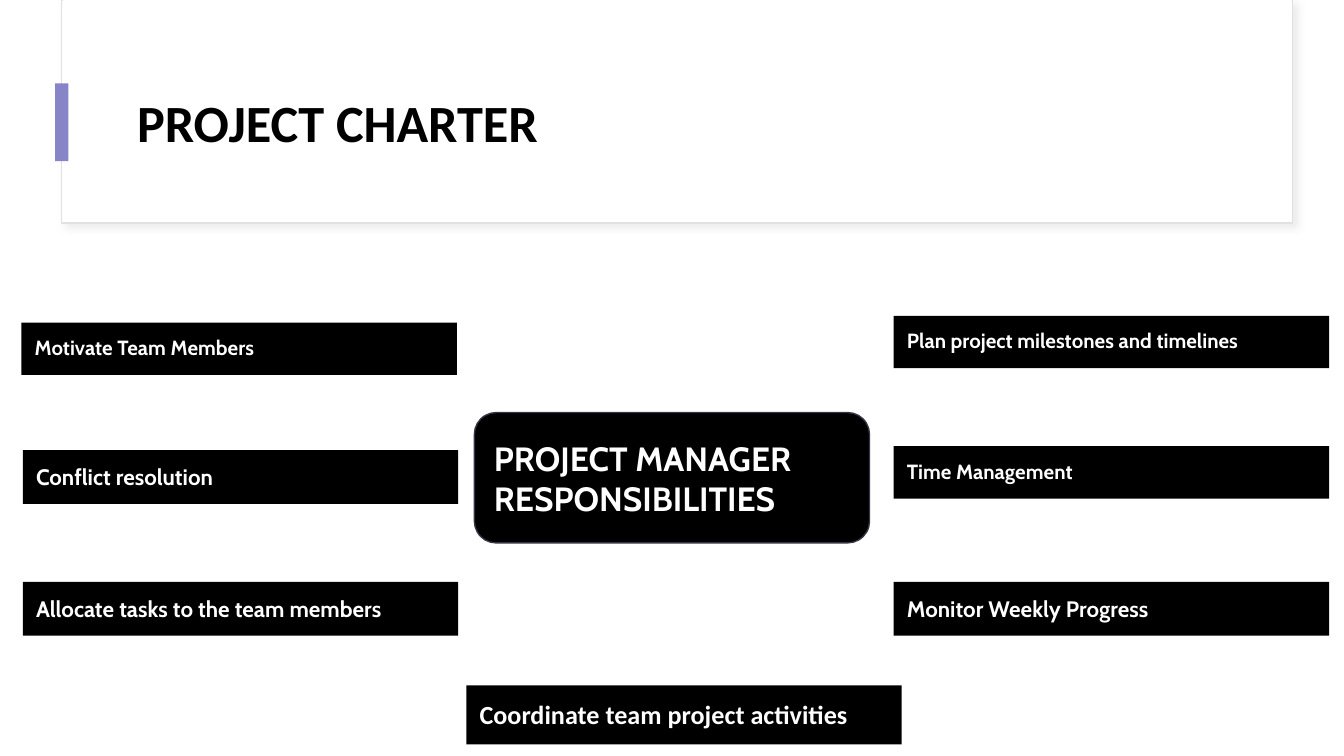
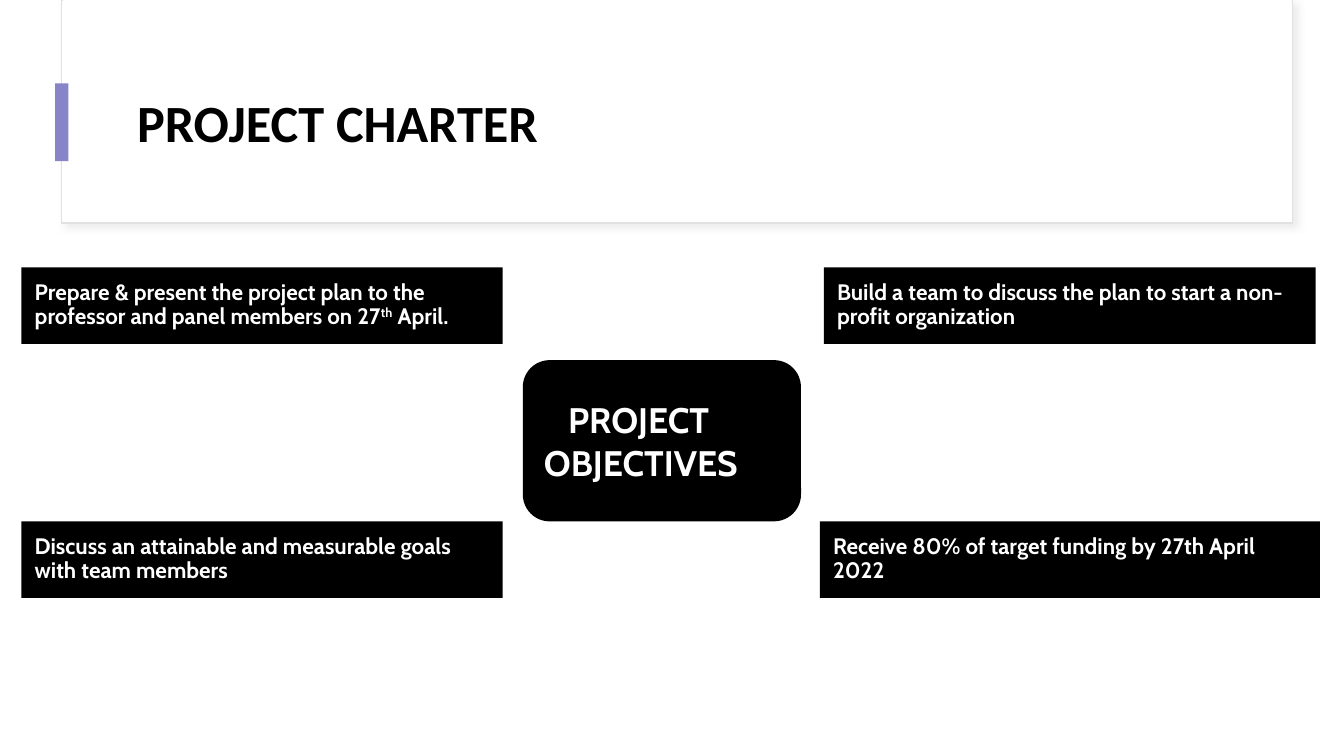
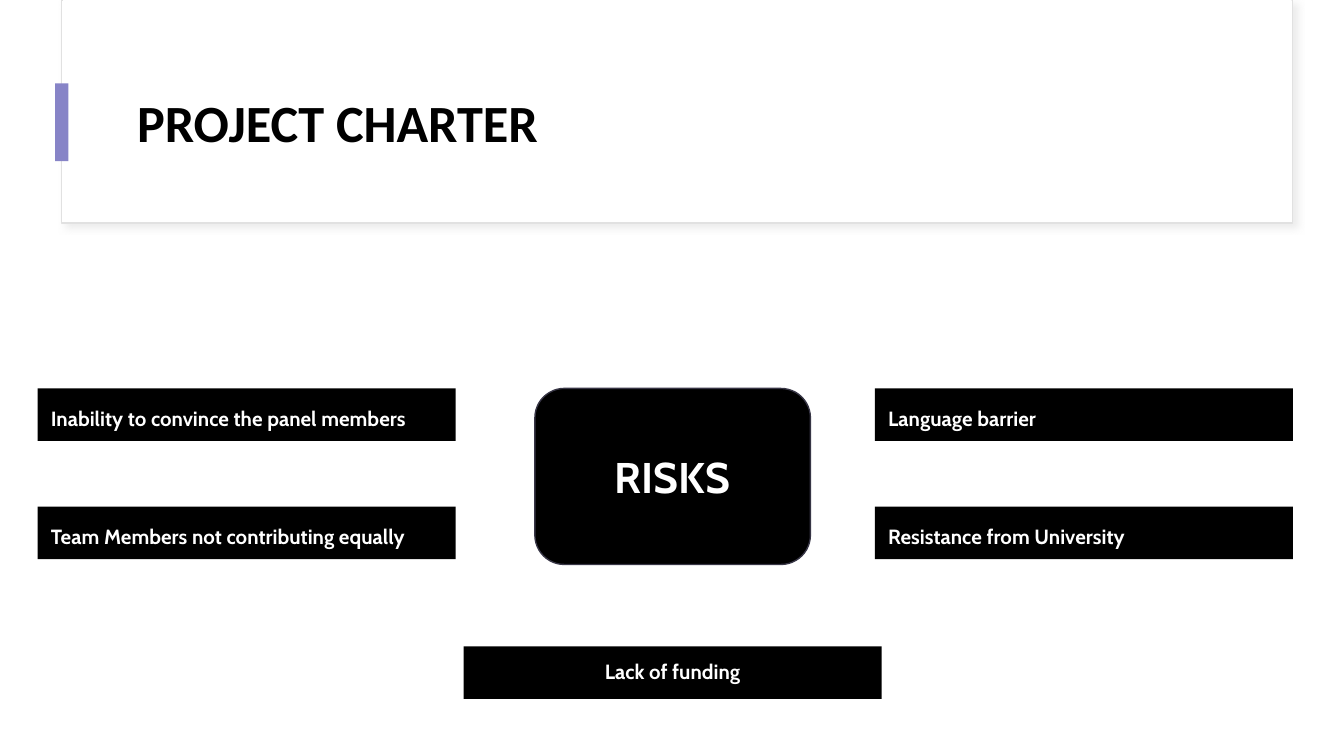
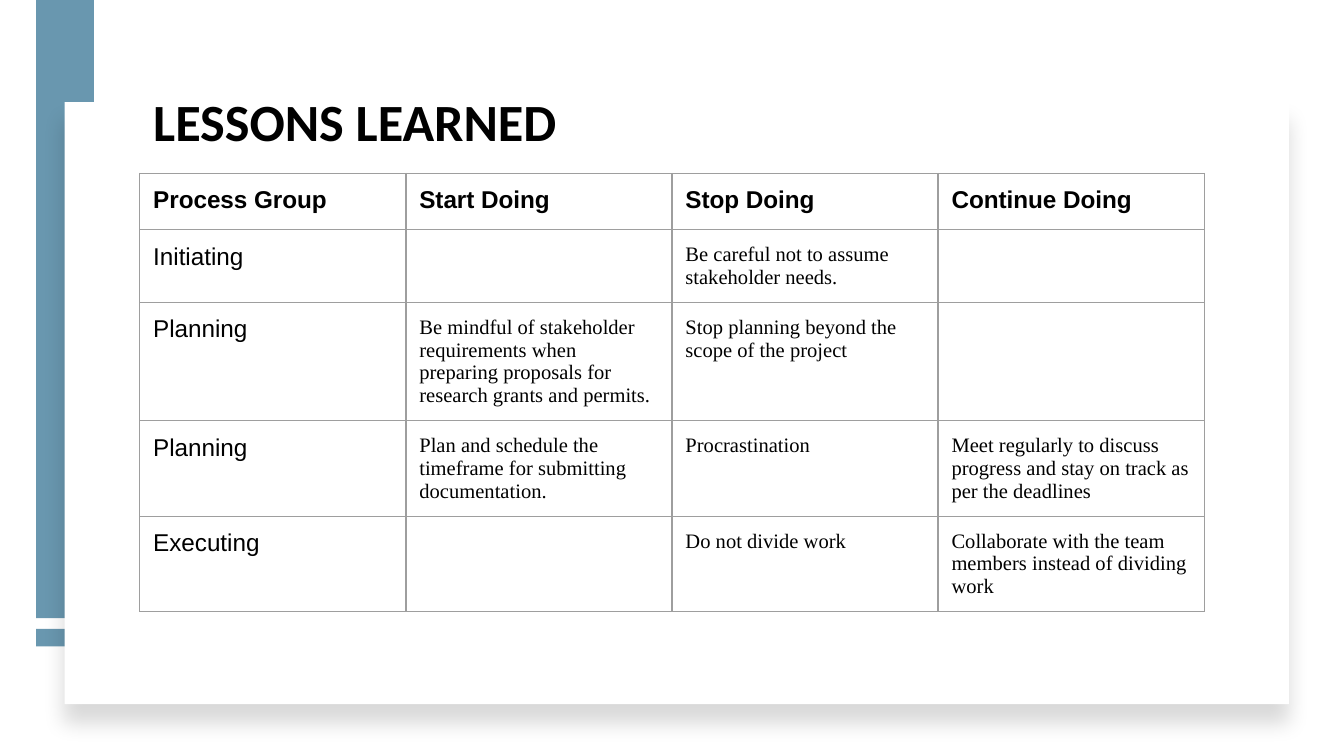
from pptx import Presentation
from pptx.dml.color import RGBColor
from pptx.enum.shapes import MSO_SHAPE
from pptx.enum.text import MSO_ANCHOR, MSO_AUTO_SIZE, PP_ALIGN
from pptx.oxml import parse_xml
from pptx.oxml.ns import nsdecls
from pptx.util import Inches, Pt

RECT, ROUND = MSO_SHAPE.RECTANGLE, MSO_SHAPE.ROUNDED_RECTANGLE
TOP, MIDDLE, BOTTOM = MSO_ANCHOR.TOP, MSO_ANCHOR.MIDDLE, MSO_ANCHOR.BOTTOM
LEFT, CENTER, JUST = PP_ALIGN.LEFT, PP_ALIGN.CENTER, PP_ALIGN.JUSTIFY
GROW, FIXED = MSO_AUTO_SIZE.SHAPE_TO_FIT_TEXT, MSO_AUTO_SIZE.NONE

HUE = {"ink": "000000", "paper": "FFFFFF", "edge": "E1E1E1", "shade": "D8D8D8",
       "mark": "8784C7", "rim": "373545", "blue": "6997AF", "grid": "9E9E9E"}
WIDE = 10
HIGH = WIDE * 9 / 16
PAD = 0.1
FACE = "Cabin"

CHARTS = [
    {"hub": {"at": (3.53, 3.07, 2.94, 0.97), "size": 18, "rim": "rim",
             "text": "PROJECT MANAGER\nRESPONSIBILITIES"},
     "wide": 3.24, "gap": 1,
     "boxes": [
         {"at": (6.65, 3.32), "high": 0.39, "size": 11, "text": "Time Management"},
         {"at": (6.65, 4.33), "high": 0.4, "text": "Monitor Weekly Progress"},
         {"at": (3.47, 5.1), "high": 0.44, "size": 14, "face": "Calibri",
          "text": "Coordinate team project activities"},
         {"at": (0.17, 3.35), "high": 0.4, "text": "Conflict resolution"},
         {"at": (0.16, 2.4), "high": 0.39, "size": 11, "text": "Motivate Team Members"},
         {"at": (0.17, 4.33), "high": 0.4, "text": "Allocate tasks to the team members"},
         {"at": (6.65, 2.35), "high": 0.39, "size": 11,
          "text": "Plan project milestones and timelines"}]},
    {"hub": {"at": (3.89, 2.68, 2.07, 1.2), "size": 19, "indent": 0.18,
             "text": "PROJECT OBJECTIVES"},
     "wide": 3.58, "high": 0.57, "gap": 0.9,
     "boxes": [
         {"at": (6.1, 3.88), "wide": 3.72,
          "text": "Receive 80% of target funding by 27th April 2022"},
         {"at": (6.13, 1.99), "wide": 3.66,
          "text": "Build a team to discuss the plan to start a non-profit organization"},
         {"at": (0.16, 3.88),
          "text": "Discuss an attainable and measurable goals with team members"},
         {"at": (0.16, 1.99), "text": "Prepare & present the project plan to the "
          "professor and panel members on 27^th^ April."}]},
    {"hub": {"at": (3.98, 2.89, 2.05, 1.31), "size": 23, "rim": "rim",
             "align": CENTER, "text": "RISKS"},
     "wide": 3.11, "high": 0.39, "gap": 1.15, "size": 11,
     "boxes": [
         {"at": (6.51, 3.77), "align": JUST, "text": "Resistance from University"},
         {"at": (0.28, 2.89), "text": "Inability to convince the panel members"},
         {"at": (0.28, 3.77), "text": "Team Members not contributing equally"},
         {"at": (6.51, 2.89), "text": "Language barrier"},
         {"at": (3.45, 4.81), "align": CENTER, "gap": 1, "text": "Lack of funding"}]},
]

LESSONS = [
    ("Process Group", "Start Doing", "Stop Doing", "Continue Doing"),
    ("Initiating", "", "Be careful not to assume stakeholder needs.", ""),
    ("Planning", "Be mindful of stakeholder requirements when preparing proposals "
     "for research grants and permits.",
     "Stop planning beyond the scope of the project", ""),
    ("Planning", "Plan and schedule the timeframe for submitting documentation.",
     "Procrastination",
     "Meet regularly to discuss progress and stay on track as per the deadlines"),
    ("Executing", "", "Do not divide work",
     "Collaborate with the team members instead of dividing work"),
]


def tint(name):
    return RGBColor.from_string(HUE[name])


def style(font, face, size, hue, bold=True):
    font.name, font.size, font.bold = face, Pt(size), bold
    font.color.rgb = tint(hue)


def inset(part):
    part.margin_left = part.margin_right = Inches(PAD)
    part.margin_top = part.margin_bottom = Inches(PAD)


def block(page, at, fill, rim=None, kind=RECT):
    shape = page.shapes.add_shape(kind, *map(Inches, at))
    shape.shadow.inherit = False
    shape.fill.solid()
    shape.fill.fore_color.rgb = tint(fill)
    if rim:
        shape.line.color.rgb = tint(rim)
        shape.line.width = Pt(0.75)
    else:
        shape.line.fill.background()
    return shape


def shade(shape, hue, alpha, blur, dist, angle):
    props = shape.element.spPr
    props.remove(props.find("{*}effectLst"))
    props.append(parse_xml(
        f'<a:effectLst {nsdecls("a")}><a:outerShdw blurRad="{Pt(blur)}" dist="{Pt(dist)}" '
        f'dir="{angle * 60000}" algn="t" rotWithShape="0"><a:srgbClr val="{HUE[hue]}">'
        f'<a:alpha val="{alpha * 1000}"/></a:srgbClr></a:outerShdw></a:effectLst>'))


def fill_in(shape, text, size, face=FACE, align=LEFT, gap=1, anchor=TOP, indent=0):
    frame = shape.text_frame
    frame.word_wrap = True
    frame.vertical_anchor = anchor
    inset(frame)
    for i, line in enumerate(text.split("\n")):
        para = frame.add_paragraph() if i else frame.paragraphs[0]
        para.alignment, para.line_spacing = align, gap
        if indent:
            para._p.get_or_add_pPr().set("indent", str(Inches(indent)))
        for j, part in enumerate(line.split("^")):
            run = para.add_run()
            run.text = part
            style(run.font, face, size, "paper")
            if j % 2:
                run._r.get_or_add_rPr().set("baseline", "30000")


def head(page, text, at, anchor):
    title = page.shapes.title
    title.left, title.top, title.width, title.height = map(Inches, at)
    frame = title.text_frame
    frame.text = text
    frame.word_wrap = True
    frame.auto_size = FIXED
    frame.vertical_anchor = anchor
    para = frame.paragraphs[0]
    para.alignment, para.line_spacing = LEFT, 0.9
    style(para.runs[0].font, "Calibri", 28, "ink")
    title.element.getparent().append(title.element)


def chart(page, plan):
    card = block(page, (0.46, 0, 9.16, 1.66), "paper", "edge")
    shade(card, "shade", 50, 4, 3, 45)
    block(page, (0.47, 0, 9.14, 1.65), "paper")
    head(page, "PROJECT CHARTER", (0.92, 0.45, 8.34, 0.97), MIDDLE)
    block(page, (0.41, 0.62, 0.1, 0.58), "mark")
    for box in plan["boxes"]:
        spot = {"size": 12, **plan, **box}
        shape = block(page, (*spot["at"], spot["wide"], spot["high"]), "ink")
        fill_in(shape, spot["text"], spot["size"], spot.get("face", FACE),
                spot.get("align", LEFT), spot["gap"])
        shape.text_frame.auto_size = GROW
    hub = plan["hub"]
    shape = block(page, hub["at"], "ink", hub.get("rim"), ROUND)
    shape.adjustments[0] = 0.167
    fill_in(shape, hub["text"], hub["size"], align=hub.get("align", LEFT),
            anchor=MIDDLE, indent=hub.get("indent", 0))


def border(cell):
    props = cell._tc.get_or_add_tcPr()
    for i, side in enumerate(("lnL", "lnR", "lnT", "lnB")):
        props.insert(i, parse_xml(
            f'<a:{side} {nsdecls("a")} w="{Pt(0.75)}"><a:solidFill>'
            f'<a:srgbClr val="{HUE["grid"]}"/></a:solidFill></a:{side}>'))


def lessons(page):
    for top, high in ((4.68, 0.13), (0, 4.6)):
        block(page, (0.27, top, 0.43, high), "blue")
    card = block(page, (0.48, 0.76, 9.11, 4.48), "paper")
    shade(card, "ink", 15, 11, 10, 90)
    head(page, "LESSONS LEARNED", (1.04, 0.08, 8.08, 1.11), BOTTOM)
    rows, cols, wide, high = len(LESSONS), len(LESSONS[0]), 1.98, 0.42
    table = page.shapes.add_table(rows, cols, Inches(1.04), Inches(1.29),
                                  Inches(cols * wide), Inches(rows * high)).table
    table.first_row = table.horz_banding = False
    for r, row in enumerate(LESSONS):
        for c, text in enumerate(row):
            cell = table.cell(r, c)
            cell.fill.background()
            border(cell)
            inset(cell)
            cell.text = text
            label = r == 0 or c == 0
            face, size = ("Arial", 13) if label else ("Times New Roman", 11)
            for run in cell.text_frame.paragraphs[0].runs:
                style(run.font, face, size, "ink", r == 0)


def main():
    deck = Presentation()
    deck.slide_width, deck.slide_height = Inches(WIDE), Inches(HIGH)
    layout = deck.slide_layouts[5]
    for plan in CHARTS:
        chart(deck.slides.add_slide(layout), plan)
    lessons(deck.slides.add_slide(layout))
    deck.save("out.pptx")


if __name__ == "__main__":
    main()
